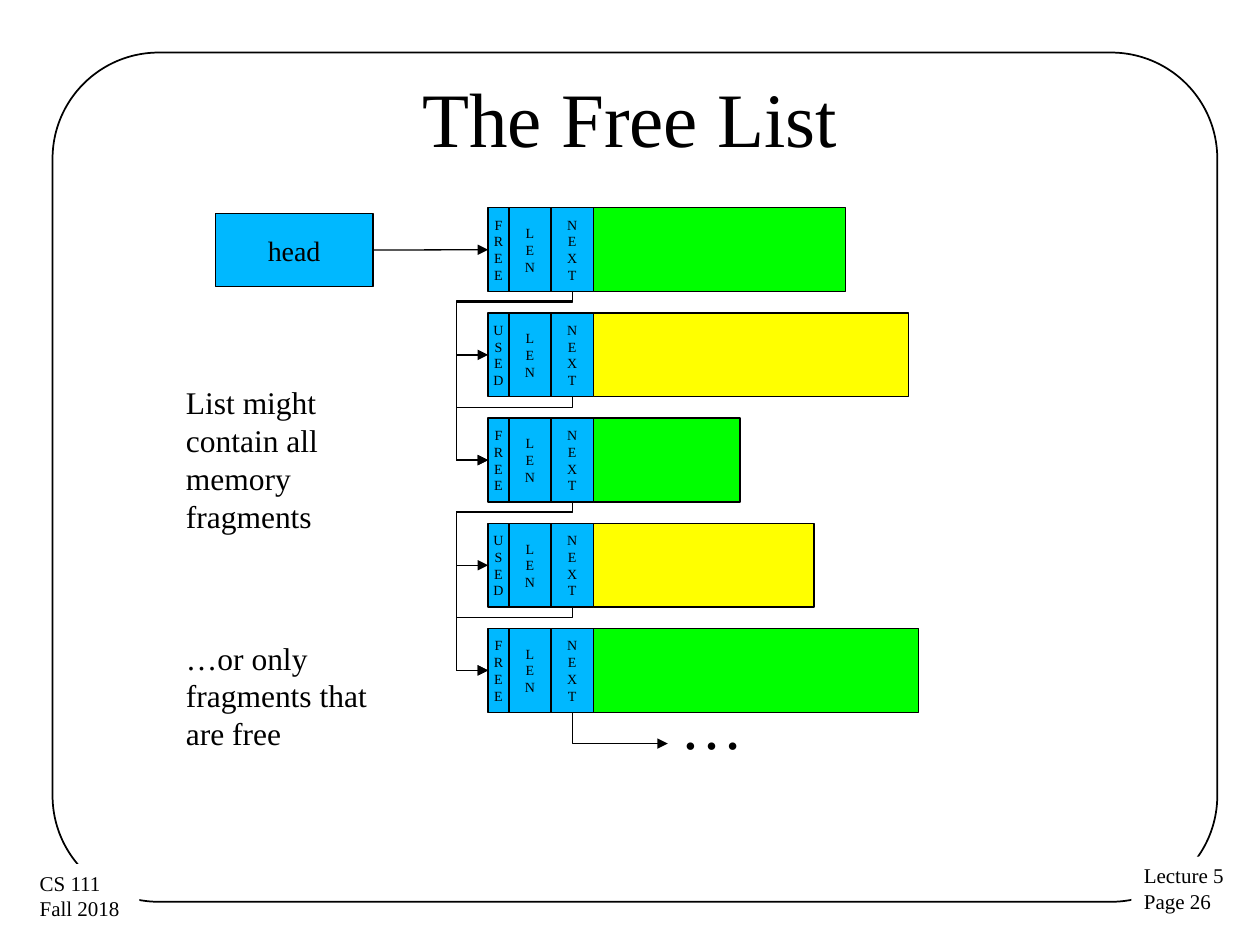
from lxml.etree import SubElement
from pptx import Presentation
from pptx.dml.color import RGBColor
from pptx.enum.shapes import MSO_CONNECTOR, MSO_SHAPE
from pptx.enum.text import MSO_ANCHOR, PP_ALIGN
from pptx.oxml.ns import qn
from pptx.util import Cm, Pt

HUES = {"ink": "000000", "paper": "FFFFFF", "head": "00B8FF",
        "free": "00FF00", "used": "FFFF00"}


class Deck:
    font = "Times New Roman"
    thin = 0.75

    def __init__(self):
        self.prs = Presentation()
        self.prs.slide_width, self.prs.slide_height = Cm(25.4), Cm(19.05)
        self.slide = self.prs.slides.add_slide(self.prs.slide_layouts[5])

    def hue(self, name):
        return RGBColor.from_string(HUES[name])

    def text(self, frame, lines, size, align=PP_ALIGN.LEFT, before=0):
        for i, line in enumerate(lines):
            para = frame.add_paragraph() if i else frame.paragraphs[0]
            para.alignment = align
            para.space_before = Pt(before)
            run = para.add_run()
            run.text = line
            run.font.size = Pt(size)
            run.font.name = self.font
            run.font.color.rgb = self.hue("ink")

    def title(self, text, x, y, w, h):
        box = self.slide.shapes.title
        box.left, box.top, box.width, box.height = map(Cm, (x, y, w, h))
        box.text_frame.vertical_anchor = MSO_ANCHOR.MIDDLE
        self.text(box.text_frame, [text], 44, PP_ALIGN.CENTER)

    def shape(self, kind, x, y, w, h, fill=None, line=None):
        item = self.slide.shapes.add_shape(kind, *map(Cm, (x, y, w, h)))
        item.shadow.inherit = False
        if fill:
            item.fill.solid()
            item.fill.fore_color.rgb = self.hue(fill)
        else:
            item.fill.background()
        if line:
            item.line.color.rgb = self.hue("ink")
            item.line.width = Pt(line)
        else:
            item.line.fill.background()
        return item

    def cell(self, x, y, w, h, fill, lines=(), size=8):
        item = self.shape(MSO_SHAPE.RECTANGLE, x, y, w, h, fill, self.thin)
        frame = item.text_frame
        frame.word_wrap = False
        frame.vertical_anchor = MSO_ANCHOR.MIDDLE
        self.text(frame, lines, size, PP_ALIGN.CENTER)
        return item

    def label(self, x, y, w, h, lines):
        item = self.shape(MSO_SHAPE.RECTANGLE, x, y, w, h, "paper")
        item.text_frame.word_wrap = False
        item.text_frame.vertical_anchor = MSO_ANCHOR.TOP
        self.text(item.text_frame, lines, 12)

    def note(self, x, y, w, h, text, size, before):
        box = self.slide.shapes.add_textbox(*map(Cm, (x, y, w, h)))
        box.text_frame.word_wrap = True
        self.text(box.text_frame, [text], size, before=before)

    def arrow(self, kind, x1, y1, x2, y2):
        wire = self.slide.shapes.add_connector(kind, *map(Cm, (x1, y1, x2, y2)))
        wire.line.color.rgb = self.hue("ink")
        wire.line.width = Pt(self.thin)
        props = wire._element.spPr
        SubElement(props.find(qn("a:ln")), qn("a:tailEnd"), type="triangle")
        SubElement(props, qn("a:effectLst"))
        return wire

    def elbow(self, x1, y1, x2, y2, kind, turn, flip=False, bends=()):
        # The frame is the turned one: width and height change places
        w, h = y2 - y1, abs(x2 - x1)
        left, top = (x1 + x2 - w) / 2, (y1 + y2 - h) / 2
        ends = (left + w, left) if flip else (left, left + w)
        wire = self.arrow(MSO_CONNECTOR.ELBOW, ends[0], top, ends[1], top + h)
        props = wire._element.spPr
        props.find(qn("a:xfrm")).set("rot", str(turn * 60000))
        geom = props.find(qn("a:prstGeom"))
        geom.set("prst", kind)
        guides = geom.find(qn("a:avLst"))
        if guides is None:
            guides = SubElement(geom, qn("a:avLst"))
        for i, bend in enumerate(bends, 1):
            SubElement(guides, qn("a:gd"), name=f"adj{i}",
                       fmla=f"val {round(bend * 100000)}")


def main():
    deck = Deck()

    # Frame and corner labels
    frame = deck.shape(MSO_SHAPE.ROUNDED_RECTANGLE, 1.06, 1.06, 23.48, 17.12, line=1)
    frame.adjustments[0] = 0.125
    deck.label(22.81, 17.27, 2.16, 1.3, ["Lecture 5", "Page 26"])
    deck.label(0.55, 17.42, 2.26, 1.3, ["CS 111", "Fall 2018"])
    deck.title("The Free List", 1.27, 0.76, 22.86, 3.18)

    # Memory fragments: a header of three cells, then the data
    left, top, high, step = 9.84, 4.19, 1.69, 2.12
    tag, field = 0.42, 0.85
    data = left + tag + 2 * field
    rows = [("free", 5.08), ("used", 6.35), ("free", 2.96),
            ("used", 4.45), ("free", 6.56)]
    tags = []
    for i, (state, wide) in enumerate(rows):
        y = top + i * step
        tags.append(deck.cell(left, y, tag, high, "head", state.upper()))
        deck.cell(left + tag, y, field, high, "head", "LEN")
        deck.cell(left + tag + field, y, field, high, "head", "NEXT")
        deck.cell(data, y, wide, high, state)

    # Head of the list
    head = deck.cell(4.34, 4.3, 3.18, 1.48, "head", ["head"], 16)
    wire = deck.arrow(MSO_CONNECTOR.STRAIGHT, 7.52, 5.04, left, 5.04)
    wire.begin_connect(head, 3)
    wire.end_connect(tags[0], 1)

    # Links from a NEXT cell to a later fragment
    out = data - field / 2
    for start, end, drop in [(0, 1, 0.21), (1, 2, 0.21), (2, 3, 0.21),
                             (3, 4, 0.21), (0, 2, 0.19), (2, 4, 0.19)]:
        y1 = top + start * step + high
        y2 = top + end * step + high / 2
        deck.elbow(out, y1, left, y2, "bentConnector4", 90,
                   bends=(drop / (y2 - y1), 1 + 0.64 / (out - left)))

    # The list goes on
    foot = top + 4 * step + high
    deck.elbow(out, foot, 13.46, foot + 0.63, "bentConnector2", 270, flip=True)
    deck.note(13.46, 13.72, 2.74, 1.78, "…", 36, 4)

    # Remarks
    deck.note(3.5, 7.6, 4.45, 4.37, "List might contain all memory fragments", 18, 2)
    deck.note(3.5, 12.75, 4.45, 4.37, "…or only fragments that are free", 18, 2)

    deck.prs.save("out.pptx")


if __name__ == "__main__":
    main()
